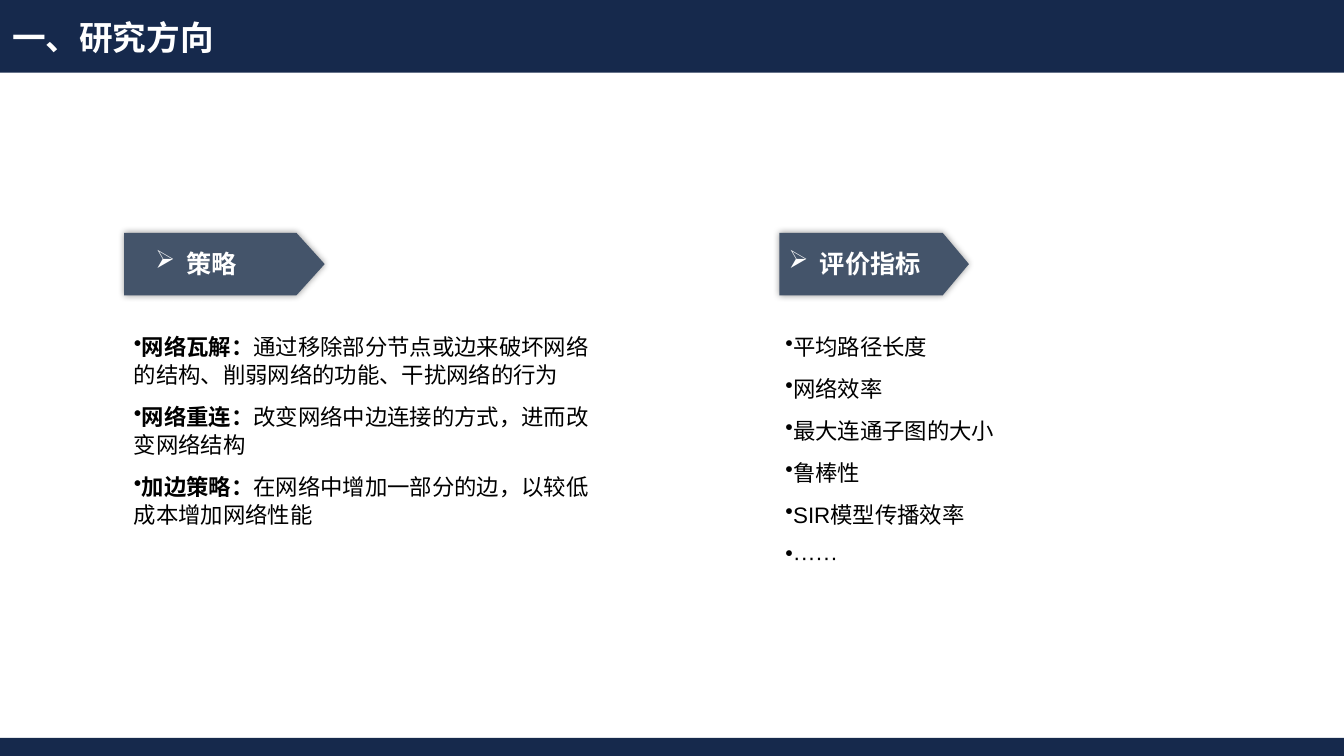
from lxml.etree import SubElement
from pptx import Presentation
from pptx.dml.color import RGBColor
from pptx.enum.shapes import MSO_SHAPE as Shape
from pptx.enum.text import MSO_ANCHOR as Anchor, MSO_AUTO_SIZE as AutoSize, PP_ALIGN as Align
from pptx.oxml.ns import qn
from pptx.util import Inches, Pt

NAVY = RGBColor(0x16, 0x29, 0x4C)
SLATE = RGBColor(0x44, 0x54, 0x6A)
WHITE = RGBColor(0xFF, 0xFF, 0xFF)
BLACK = RGBColor(0x00, 0x00, 0x00)
HEADING_FONT = "Noto Sans CJK SC"
BODY_FONT = "Arial"
WIDTH, HEIGHT = 13.33, 7.5

STRATEGIES = [
    ("网络瓦解：", "通过移除部分节点或边来破坏网络 的结构、削弱网络的功能、干扰网络的行为"),
    ("网络重连：", "改变网络中边连接的方式，进而改变网络结构"),
    ("加边策略：", "在网络中增加一部分的边，以较低成本增加网络性能"),
]
METRICS = ["平均路径长度", "网络效率", "最大连通子图的大小", "鲁棒性", "SIR模型传播效率", "······"]


class SlideBuilder:
    def __init__(self, deck):
        self.page = deck.slides.add_slide(deck.slide_layouts[5])

    def style(self, span, size, font, color, bold=False):
        span.font.size = Pt(size)
        span.font.name = font
        span.font.bold = bold
        span.font.color.rgb = color
        east_asian = SubElement(span.font._element, qn("a:ea"))
        east_asian.set("typeface", HEADING_FONT)

    def bullet(self, para, mark, margin, indent):
        props = para._p.get_or_add_pPr()
        props.set("marL", str(Inches(margin)))
        props.set("indent", str(Inches(indent)))
        SubElement(props, qn("a:buChar")).set("char", mark)

    def heading(self, box, text, size):
        frame = box.text_frame
        frame.text = text
        frame.word_wrap = False
        frame.auto_size = AutoSize.SHAPE_TO_FIT_TEXT
        frame.vertical_anchor = Anchor.TOP
        para = frame.paragraphs[0]
        para.alignment = Align.RIGHT
        self.style(para.runs[0], size, HEADING_FONT, WHITE, True)
        return para

    def block(self, shapes, kind, left, top, width, height, color):
        shape = shapes.add_shape(kind, Inches(left), Inches(top), Inches(width), Inches(height))
        shape.shadow.inherit = False
        shape.fill.solid()
        shape.fill.fore_color.rgb = color
        shape.line.fill.background()
        return shape

    def bar(self, top, height):
        self.block(self.page.shapes, Shape.RECTANGLE, 0, top, WIDTH, height, NAVY)

    def title(self, text):
        title = self.page.shapes.title
        title.left, title.top = Inches(0), Inches(0.12)
        title.width, title.height = Inches(2.22), Inches(0.5)
        self.heading(title, text, 24)
        # Bring the title in front of the header bar
        title._element.getparent().append(title._element)

    def tag(self, text, left, width, tip, label_left, label_width):
        group = self.page.shapes.add_group_shape()
        arrow = self.block(group.shapes, Shape.PENTAGON, left, 2.31, width, 0.62, SLATE)
        arrow.adjustments[0] = tip / 0.62
        effects = arrow._element.spPr.find(qn("a:effectLst"))
        glow = SubElement(effects, qn("a:outerShdw"), blurRad=str(Pt(5)), dist="0", dir="0")
        shade = SubElement(glow, qn("a:srgbClr"), val=str(BLACK))
        SubElement(shade, qn("a:alpha"), val="40000")
        label = group.shapes.add_textbox(
            Inches(label_left), Inches(2.41), Inches(label_width), Inches(0.4))
        self.bullet(self.heading(label, text, 18), "➢", 0.31, -0.31)

    def bullets(self, items, left, width, height):
        box = self.page.shapes.add_textbox(
            Inches(left), Inches(3.24), Inches(width), Inches(height))
        frame = box.text_frame
        frame.word_wrap = True
        frame.auto_size = AutoSize.SHAPE_TO_FIT_TEXT
        for index, (lead, rest) in enumerate(items):
            para = frame.add_paragraph() if index else frame.paragraphs[0]
            para.line_spacing = Pt(20)
            para.space_after = Pt(10)
            self.bullet(para, "•", 0, -0.2)
            for text, bold in ((lead, True), (rest, False)):
                if text:
                    span = para.add_run()
                    span.text = text
                    self.style(span, 16, BODY_FONT, BLACK, bold)


def main():
    deck = Presentation()
    deck.slide_width, deck.slide_height = Inches(WIDTH), Inches(HEIGHT)
    slide = SlideBuilder(deck)

    # Header and footer bars
    slide.bar(0, 0.72)
    slide.bar(7.32, 0.18)
    slide.title("一、研究方向")

    # Strategies on the left
    slide.tag("策略", 1.23, 1.99, 0.28, 1.43, 1.02)
    slide.bullets(STRATEGIES, 1.23, 4.9, 2.05)

    # Evaluation metrics on the right
    slide.tag("评价指标", 7.73, 1.88, 0.26, 7.7, 1.53)
    slide.bullets([("", metric) for metric in METRICS], 7.69, 3.47, 2.47)

    deck.save("out.pptx")


if __name__ == "__main__":
    main()
